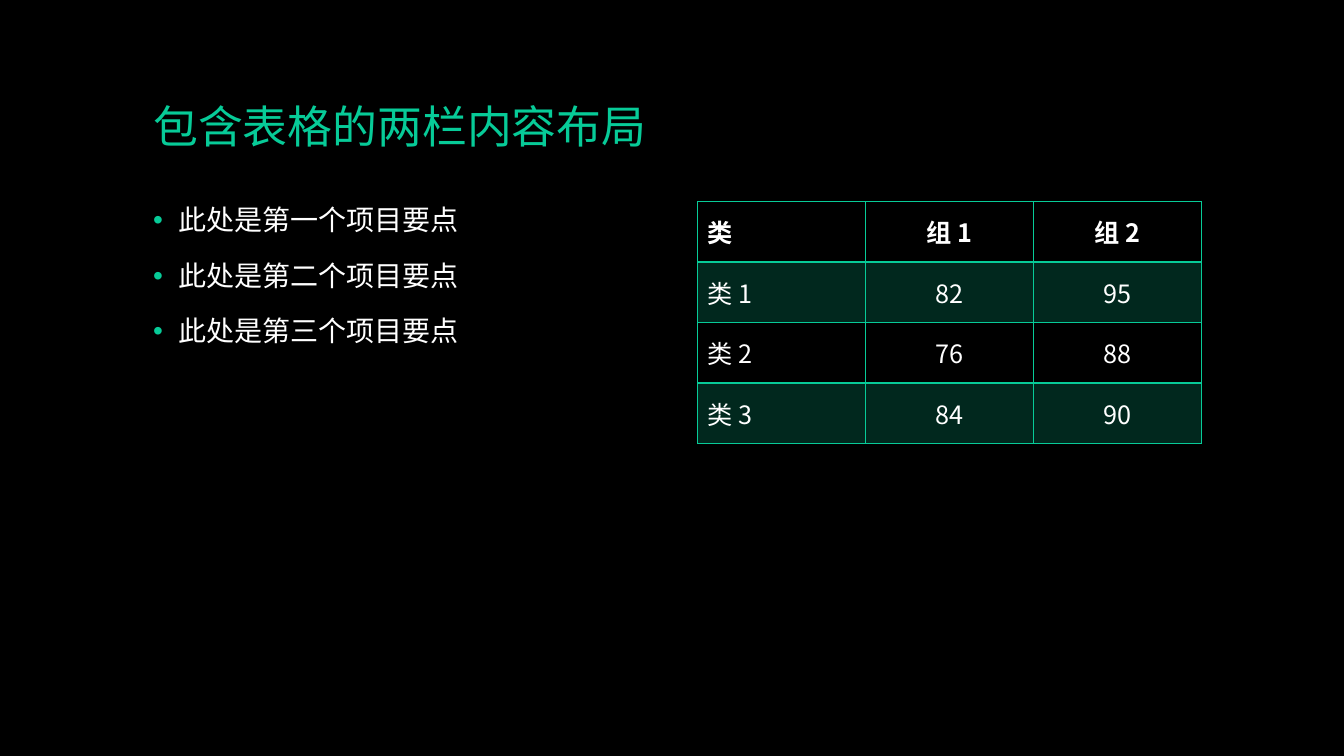
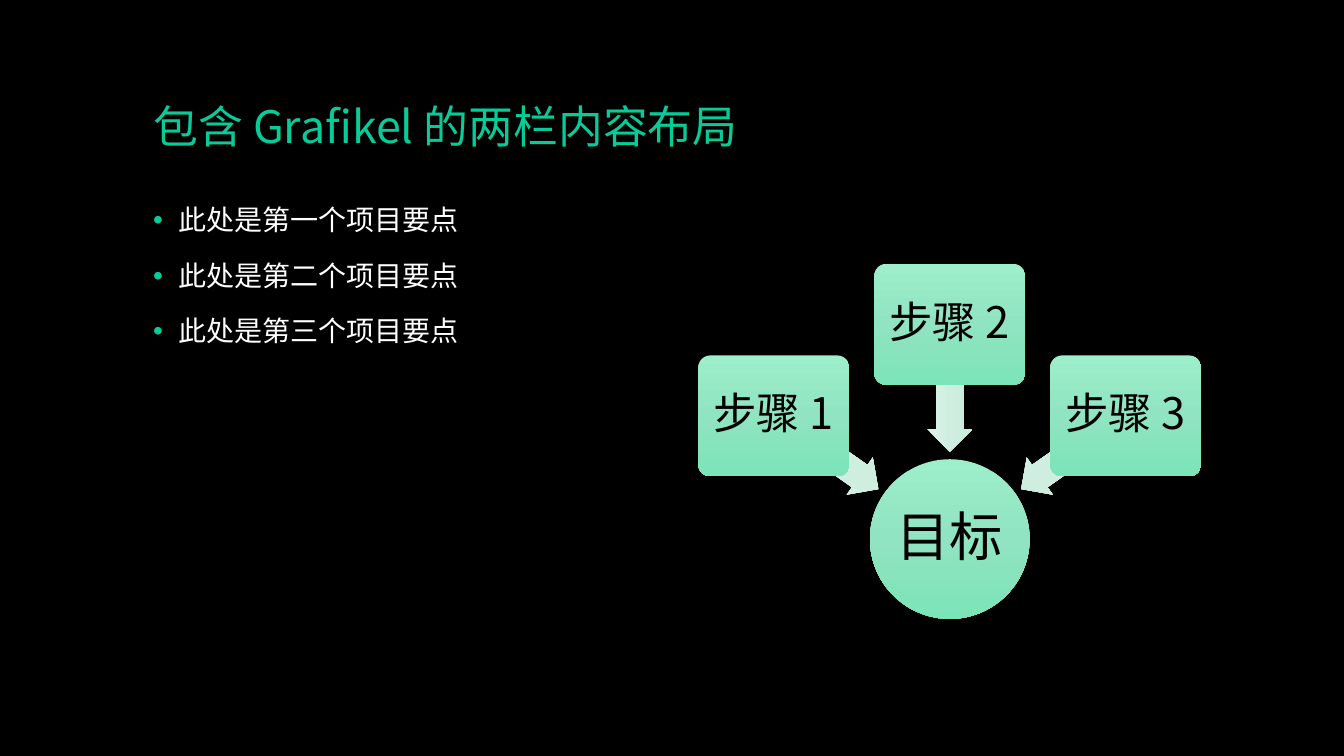
import copy
import math

from lxml import etree
from pptx import Presentation, util as u
from pptx.dml import color
from pptx.enum import shapes, text
from pptx.oxml import ns

FONT = "Noto Sans CJK SC"
GREEN, WHITE, BLACK = "07CB98", "FFFFFF", "000000"
NODE_STOPS = ["9DEECB", "90E4C1", "7CE4B9"]
ARROW_STOPS = ["DCF3E9", "CFEEE0", "C8EDDC"]

TITLE_BOX = (1.42, 0.4, 10.5, 1.17)
LEFT_BOX = (1.42, 2, 5, 4.76)
TABLE_BOX = (6.92, 2, 5, 2.4)
DIAGRAM_BOX = (6.92, 2.62, 5, 3.52)

BULLETS = ["此处是第一个项目要点", "此处是第二个项目要点", "此处是第三个项目要点"]
ROWS = [
    ["类", "组 1", "组 2"],
    ["类 1", "82", "95"],
    ["类 2", "76", "88"],
    ["类 3", "84", "90"],
]


def rgb(value):
    return color.RGBColor.from_string(value)


def inches(box):
    return [u.Inches(length) for length in box]


def add_xml(parent, tag, **attributes):
    return etree.SubElement(parent, ns.qn(tag), attributes)


def write(para, words, size, colour=WHITE, bold=False, align=text.PP_ALIGN.LEFT,
          line=None, before=None):
    para.alignment = align
    if line is not None:
        para.line_spacing = line
    if before is not None:
        para.space_before = u.Pt(before)
    span = para.add_run()
    span.text = words
    font = span.font
    font.size, font.bold, font.name = u.Pt(size), bold, FONT
    font.color.rgb = rgb(colour)
    add_xml(font._element, "a:ea", typeface=FONT)


def add_page(deck, title):
    page = deck.slides.add_slide(deck.slide_layouts.get_by_name("Title Only"))
    holder = page.shapes.title
    holder.left, holder.top, holder.width, holder.height = inches(TITLE_BOX)
    frame = holder.text_frame
    frame.vertical_anchor = text.MSO_ANCHOR.BOTTOM
    frame.auto_size = text.MSO_AUTO_SIZE.NONE
    write(frame.paragraphs[0], title, 32, GREEN, line=0.9, before=0)
    return page


def add_bullets(page, box, items):
    frame = page.shapes.add_textbox(*inches(box)).text_frame
    frame.word_wrap = True
    for index, item in enumerate(items):
        para = frame.add_paragraph() if index else frame.paragraphs[0]
        write(para, item, 20, line=0.9, before=18)
        props = para._p.get_or_add_pPr()
        indent = u.Inches(0.25)
        props.set("marL", str(indent))
        props.set("indent", str(-indent))
        add_xml(add_xml(props, "a:buClr"), "a:srgbClr", val=GREEN)
        add_xml(props, "a:buFont", typeface="Arial")
        add_xml(props, "a:buChar", char="•")


def set_borders(cell, widths):
    props = cell._tc.get_or_add_tcPr()
    for index, (side, width) in enumerate(widths.items()):
        line = etree.Element(ns.qn("a:ln" + side), w=str(u.Pt(width)))
        add_xml(add_xml(line, "a:solidFill"), "a:srgbClr", val=GREEN)
        props.insert(index, line)


def add_scores(page, box, rows):
    table = page.shapes.add_table(len(rows), len(rows[0]), *inches(box)).table
    table.first_row = table.horz_banding = False
    for row, values in enumerate(rows):
        for column, value in enumerate(values):
            cell = table.cell(row, column)
            cell.vertical_anchor = text.MSO_ANCHOR.MIDDLE
            align = text.PP_ALIGN.CENTER if column else text.PP_ALIGN.LEFT
            write(cell.text_frame.paragraphs[0], value, 18, bold=row == 0, align=align)
            if row % 2:
                cell.fill.solid()
                cell.fill.fore_color.rgb = rgb(GREEN)
                tint = cell._tc.tcPr.find(".//" + ns.qn("a:srgbClr"))
                add_xml(tint, "a:alpha", val="20000")
            else:
                cell.fill.background()
            set_borders(cell, {"L": 1, "R": 1, "T": 2 if row == 1 else 1,
                               "B": 2 if row == 0 else 1})


def add_gradient_shape(page, kind, centre, size, stops):
    (x, y), (width, height) = centre, size
    shape = page.shapes.add_shape(
        kind, *inches((x - width / 2, y - height / 2, width, height)))
    shape.shadow.inherit = False
    shape.line.fill.background()
    shape.fill.gradient()
    shape.fill.gradient_angle = 270
    stop_list = shape._element.spPr.find(".//" + ns.qn("a:gsLst"))
    stop_list.insert(1, copy.deepcopy(stop_list[0]))
    for index, (stop, colour) in enumerate(zip(shape.fill.gradient_stops, stops)):
        stop.position = index / (len(stops) - 1)
        stop.color.rgb = rgb(colour)
    return shape


def add_label(shape, words, size, margin):
    frame = shape.text_frame
    frame.word_wrap = False
    frame.vertical_anchor = text.MSO_ANCHOR.MIDDLE
    frame.margin_left = frame.margin_right = u.Inches(margin)
    frame.margin_top = frame.margin_bottom = u.Inches(margin)
    para = frame.paragraphs[0]
    write(para, words, size, BLACK, align=text.PP_ALIGN.CENTER, line=0.9)
    after = add_xml(para._p.get_or_add_pPr(), "a:spcAft")
    add_xml(after, "a:spcPct", val="35000")


def add_converging_steps(page, box, goal, steps):
    left, top, width, height = box
    diameter = 0.45 * height
    hub = (left + width / 2, top + height - diameter / 2)

    def around_hub(angle, radius):
        turn = math.radians(angle)
        return hub[0] + radius * math.cos(turn), hub[1] + radius * math.sin(turn)

    kinds = shapes.MSO_SHAPE
    circle = add_gradient_shape(page, kinds.OVAL, hub, (diameter, diameter), NODE_STOPS)
    add_label(circle, goal, 38, 0.03)
    for index, step in enumerate(steps):
        angle = 215 + 55 * index
        arrow = add_gradient_shape(page, kinds.LEFT_ARROW, around_hub(angle, 1.5),
                                   (1.27, 0.45), ARROW_STOPS)
        arrow.adjustments[0], arrow.adjustments[1] = 0.6, 0.5
        arrow.rotation = angle
        node = add_gradient_shape(page, kinds.ROUNDED_RECTANGLE, around_hub(angle, 2.13),
                                  (0.3 * width, 0.24 * width), NODE_STOPS)
        node.adjustments[0] = 0.1
        add_label(node, step, 31, 0.06)


def main():
    deck = Presentation()
    deck.slide_width, deck.slide_height = u.Inches(13.33), u.Inches(7.5)
    backdrop = deck.slide_master.background.fill
    backdrop.solid()
    backdrop.fore_color.rgb = rgb(BLACK)

    page = add_page(deck, "包含表格的两栏内容布局")
    add_bullets(page, LEFT_BOX, BULLETS)
    add_scores(page, TABLE_BOX, ROWS)

    page = add_page(deck, "包含 Grafikel 的两栏内容布局")
    add_bullets(page, LEFT_BOX, BULLETS)
    add_converging_steps(page, DIAGRAM_BOX, "目标", ["步骤 1", "步骤 2", "步骤 3"])

    deck.save("out.pptx")


if __name__ == "__main__":
    main()
